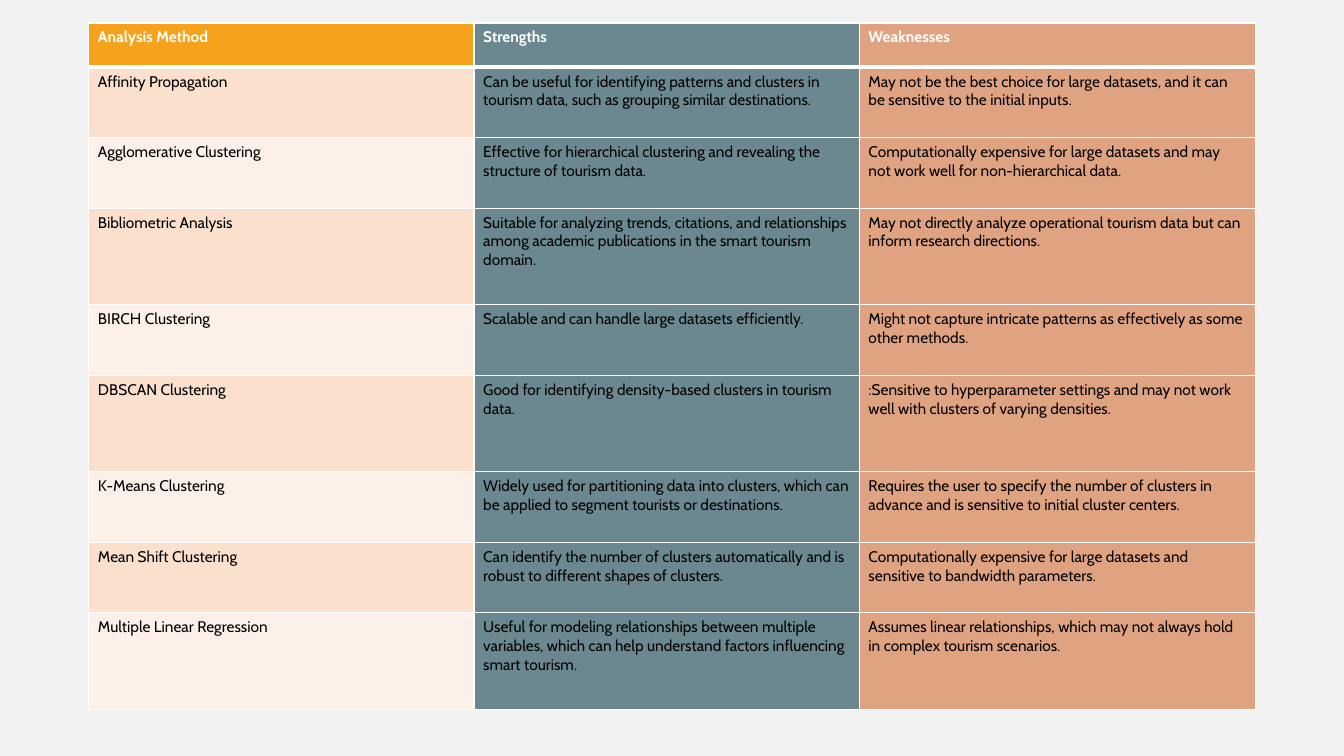
import pptx
import pptx.dml.color
import pptx.oxml
import pptx.oxml.ns
import pptx.util

Pt = pptx.util.Pt
RGBColor = pptx.dml.color.RGBColor

BACKGROUND = RGBColor(0xF2, 0xF2, 0xF2)
WHITE = RGBColor(0xFF, 0xFF, 0xFF)
BLACK = RGBColor(0x00, 0x00, 0x00)
ORANGE = RGBColor(0xF6, 0xA2, 0x1D)
SLATE = RGBColor(0x6B, 0x88, 0x91)
CLAY = RGBColor(0xE0, 0xA3, 0x82)
PEACH = RGBColor(0xFB, 0xE0, 0xCD)
CREAM = RGBColor(0xFD, 0xF0, 0xE8)

FONT = "Cabin"
COL_WIDTHS = [275.2, 275.2, 282.8]
HEADER, SHORT, TALL = 31.6, 50.35, 69
ROWS = [
    (HEADER, "Analysis Method", "Strengths", "Weaknesses"),
    (SHORT, "Affinity Propagation",
     "Can be useful for identifying patterns and clusters in tourism data, such as grouping similar destinations.",
     "May not be the best choice for large datasets, and it can be sensitive to the initial inputs."),
    (SHORT, "Agglomerative Clustering",
     "Effective for hierarchical clustering and revealing the structure of tourism data.",
     "Computationally expensive for large datasets and may not work well for non-hierarchical data."),
    (TALL, "Bibliometric Analysis",
     "Suitable for analyzing trends, citations, and relationships among academic publications in the smart tourism domain.",
     "May not directly analyze operational tourism data but can inform research directions."),
    (SHORT, "BIRCH Clustering",
     "Scalable and can handle large datasets efficiently.",
     "Might not capture intricate patterns as effectively as some other methods."),
    (TALL, "DBSCAN Clustering",
     "Good for identifying density-based clusters in tourism data.",
     ":Sensitive to hyperparameter settings and may not work well with clusters of varying densities."),
    (SHORT, "K-Means Clustering",
     "Widely used for partitioning data into clusters, which can be applied to segment tourists or destinations.",
     "Requires the user to specify the number of clusters in advance and is sensitive to initial cluster centers."),
    (SHORT, "Mean Shift Clustering",
     "Can identify the number of clusters automatically and is robust to different shapes of clusters.",
     "Computationally expensive for large datasets and sensitive to bandwidth parameters."),
    (TALL, "Multiple Linear Regression",
     "Useful for modeling relationships between multiple variables, which can help understand factors influencing smart tourism.",
     "Assumes linear relationships, which may not always hold in complex tourism scenarios."),
]


def add_borders(cell, top, bottom):
    """Draw white cell borders; must run before the cell fill is set."""
    tcPr = cell._tc.get_or_add_tcPr()
    for side, width in (("L", 1), ("R", 1), ("T", top), ("B", bottom)):
        tcPr.append(pptx.oxml.parse_xml(
            f'<a:ln{side} {pptx.oxml.ns.nsdecls("a")} w="{Pt(width)}">'
            f'<a:solidFill><a:srgbClr val="{WHITE}"/></a:solidFill></a:ln{side}>'))


prs = pptx.Presentation()
prs.slide_width, prs.slide_height = Pt(960), Pt(540)
s = prs.slides.add_slide(prs.slide_layouts[6])
s.background.fill.solid()
s.background.fill.fore_color.rgb = BACKGROUND

frame = s.shapes.add_table(len(ROWS), len(COL_WIDTHS), Pt(63.4), Pt(16.4),
                           Pt(sum(COL_WIDTHS)), Pt(sum(row[0] for row in ROWS)))
table = frame.table
for column, width in zip(table.columns, COL_WIDTHS):
    column.width = Pt(width)

for i, (height, *texts) in enumerate(ROWS):
    table.rows[i].height = Pt(height)
    is_header = i == 0
    method_fill = ORANGE if is_header else PEACH if i % 2 else CREAM
    for j, (text, color) in enumerate(zip(texts, (method_fill, SLATE, CLAY))):
        cell = table.cell(i, j)
        add_borders(cell, top=3 if i == 1 else 1, bottom=3 if is_header else 1)
        cell.fill.solid()
        cell.fill.fore_color.rgb = color
        cell.margin_left = cell.margin_right = Pt(6.6)
        cell.margin_top = cell.margin_bottom = Pt(3.6)
        r = cell.text_frame.paragraphs[0].add_run()
        r.text = text
        r.font.name = FONT
        r.font.size = Pt(11)
        r.font.bold = is_header
        r.font.color.rgb = WHITE if is_header else BLACK

prs.save("out.pptx")
